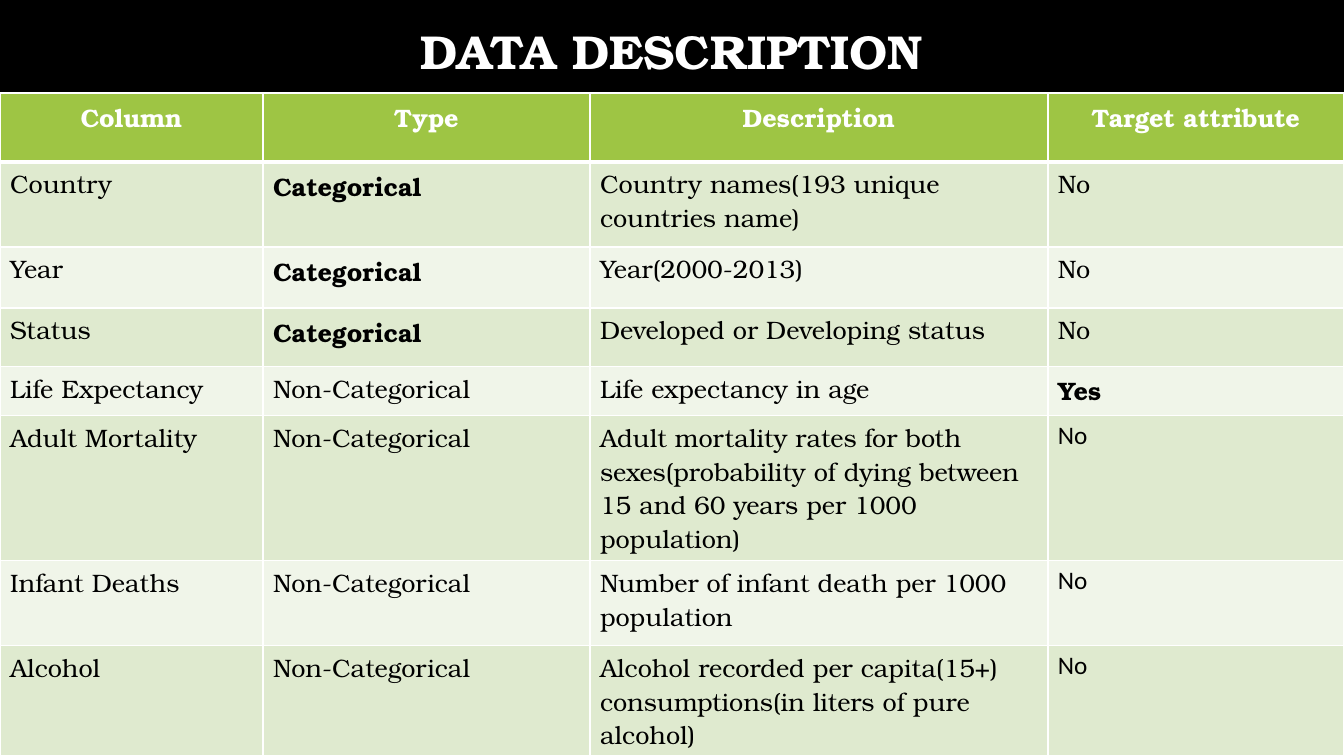
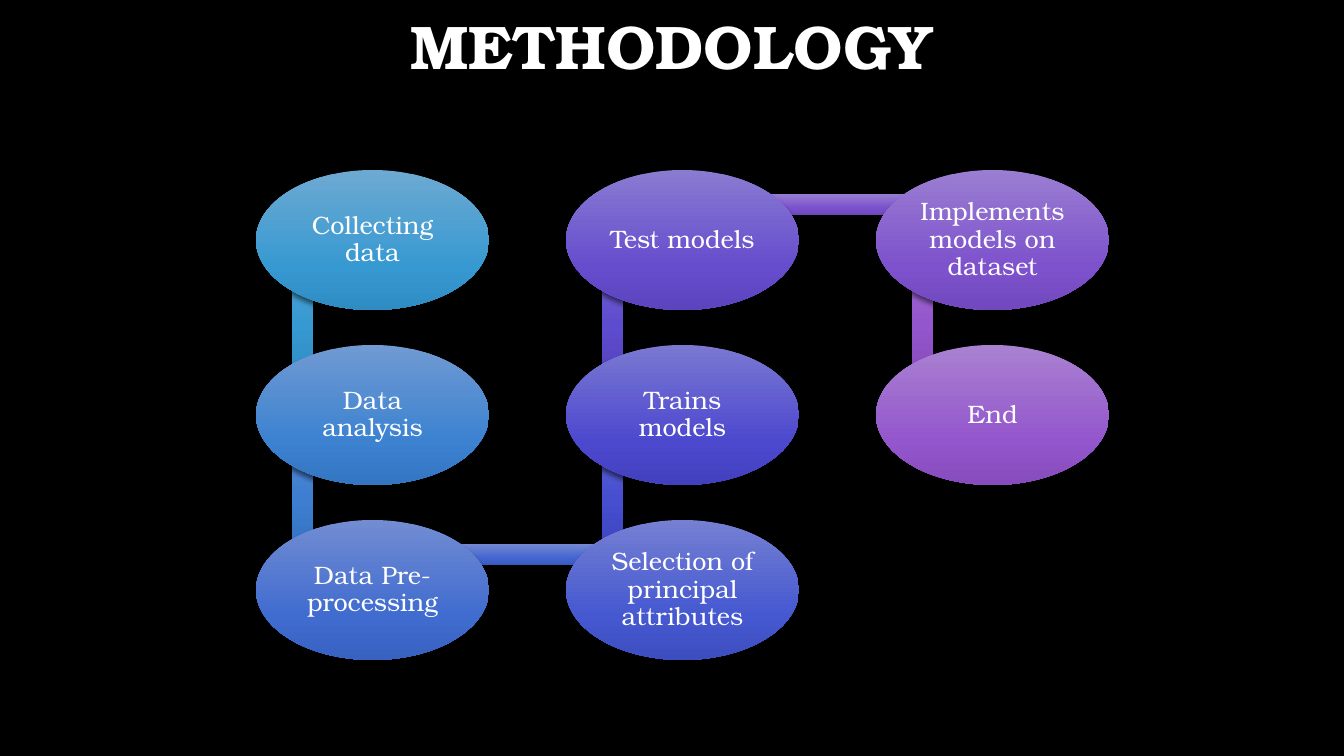
from pptx import Presentation
from pptx.dml.color import RGBColor
from pptx.enum.shapes import MSO_SHAPE as Kind
from pptx.enum.text import MSO_ANCHOR as Anchor, PP_ALIGN as Align
from pptx.oxml import parse_xml
from pptx.oxml.ns import nsdecls
from pptx.util import Pt

# Shared look
WIDE, HIGH = 1344, 756
SCALE = 12192000 / WIDE
SERIF, SANS = "TeX Gyre Bonum", "Calibri"
BLACK, WHITE = "000000", "FFFFFF"
GREEN, BANDS = "9EC544", ("DFEACF", "F0F5E9")

# Data description: table content
COLS = (263, 327, 458, 296)
ROWS = (69, 85, 61, 59, 49, 145, 85, 110)
TABLE_TOP = 93
HEAD = ("Column", "Type", "Description", "Target attribute")
DATA = [
    ("Country", "Categorical", "Country names(193 unique countries name)", "No"),
    ("Year", "Categorical", "Year(2000-2013)", "No"),
    ("Status", "Categorical", "Developed or Developing status", "No"),
    ("Life Expectancy", "Non-Categorical", "Life expectancy in age", "Yes"),
    ("Adult Mortality", "Non-Categorical",
     "Adult mortality rates for both sexes(probability of dying between "
     "15 and 60 years per 1000 population)", "No"),
    ("Infant Deaths", "Non-Categorical",
     "Number of infant death per 1000 population", "No"),
    ("Alcohol", "Non-Categorical",
     "Alcohol recorded per capita(15+) consumptions"
     "(in liters of pure alcohol)", "No"),
]
STRONG = ("Categorical", "Yes")
SANS_FROM = 5  # first row whose last cell is sans serif

# Methodology: text, column, row, colours of the oval
STEPS = [
    ("Collecting data", 0, 0, ("6DAAD2", "3799D2", "2F8CC2")),
    ("Data analysis", 0, 1, ("709AD2", "3C82D1", "3375C1")),
    ("Data Pre-processing", 0, 2, ("728CD2", "406CD0", "3861C0")),
    ("Selection of principal attributes", 1, 2, ("7580D2", "4558D0", "3C4EBF")),
    ("Trains models", 1, 1, ("7A78D1", "4D49CF", "4340BE")),
    ("Test models", 1, 0, ("8A7BD1", "664DCE", "5B44BE")),
    ("Implements models on dataset", 2, 0, ("9A7ED1", "7E52CD", "7148BD")),
    ("End", 2, 1, ("A981D1", "9456CD", "864BBC")),
]
# Colours of the bar from each step to the next
BARS = [
    ("6DAAD2", "3799D2", "2F8CC2"), ("7098D2", "3D7ED1", "3472C1"),
    ("7388D2", "4265D0", "395AC0"), ("777BD2", "474ECF", "3E45BF"),
    ("857AD1", "5E4CCE", "5342BE"), ("977DD1", "7A51CD", "6E47BD"),
    ("A981D1", "9456CD", "864BBC"),
]
LEFT, TOP, STEP_X, STEP_Y = 256, 170, 310, 175
OVAL_W, OVAL_H, THICK = 233, 140, 21


def px(num):
    return round(num * SCALE)


def box(*nums):
    return [px(num) for num in nums]


def rgb(code):
    return RGBColor.from_string(code)


def write(frame, text, size, color, bold=False, face=SERIF, align=Align.CENTER):
    frame.word_wrap = True
    para = frame.paragraphs[0]
    para.text = text
    para.alignment = align
    font = para.font
    font.name, font.size, font.bold = face, Pt(size), bold
    font.color.rgb = rgb(color)
    return para


def new_slide(deck, title, size, top, high):
    slide = deck.slides.add_slide(deck.slide_layouts[6])
    back = slide.background.fill
    back.solid()
    back.fore_color.rgb = rgb(BLACK)
    frame = slide.shapes.add_textbox(*box(126, top, 1092, high)).text_frame
    frame.vertical_anchor = Anchor.MIDDLE
    write(frame, title, size, WHITE, bold=True).line_spacing = 0.9
    return slide


def style_cell(cell, fill, row):
    props = cell._tc.get_or_add_tcPr()
    for side in "LRTB":
        wide = Pt(3 if (row, side) in ((0, "B"), (1, "T")) else 1)
        props.append(parse_xml(
            f'<a:ln{side} {nsdecls("a")} w="{wide}"><a:solidFill>'
            f'<a:srgbClr val="{WHITE}"/></a:solidFill></a:ln{side}>'))
    cell.fill.solid()
    cell.fill.fore_color.rgb = rgb(fill)


def add_data(slide):
    table = slide.shapes.add_table(
        len(ROWS), len(COLS), *box(0, TABLE_TOP, WIDE, sum(ROWS))).table
    for col, wide in zip(table.columns, COLS):
        col.width = px(wide)
    for row, high in zip(table.rows, ROWS):
        row.height = px(high)
    for r, texts in enumerate([HEAD] + DATA):
        for c, text in enumerate(texts):
            cell = table.cell(r, c)
            style_cell(cell, BANDS[(r - 1) % 2] if r else GREEN, r)
            if r == 0:
                write(cell.text_frame, text, 18, WHITE, bold=True)
                continue
            face = SANS if r >= SANS_FROM and c == 3 else SERIF
            write(cell.text_frame, text, 18, BLACK, text in STRONG, face,
                  Align.LEFT)


def add_shaded(slide, kind, spot, colors):
    shape = slide.shapes.add_shape(kind, *box(*spot))
    stops = "".join(
        f'<a:gs pos="{pos}000"><a:srgbClr val="{code}"/></a:gs>'
        for pos, code in zip((0, 69, 100), colors))
    props = shape._element.spPr
    props.append(parse_xml(
        f'<a:gradFill {nsdecls("a")} rotWithShape="1"><a:gsLst>{stops}'
        '</a:gsLst><a:lin ang="5400000" scaled="0"/></a:gradFill>'))
    shape.line.fill.background()
    shape.shadow.inherit = False
    props.effectLst.append(parse_xml(
        f'<a:outerShdw {nsdecls("a")} blurRad="{Pt(4)}" dist="{Pt(3)}" '
        f'dir="5400000" rotWithShape="0"><a:srgbClr val="{BLACK}">'
        '<a:alpha val="54000"/></a:srgbClr></a:outerShdw>'))
    return shape


def add_flow(slide):
    for i, (text, col, row, colors) in enumerate(STEPS):
        x, y = LEFT + col * STEP_X, TOP + row * STEP_Y
        # Bar to the next step, behind both ovals
        if i < len(BARS):
            _, to_col, to_row, _ = STEPS[i + 1]
            if to_col == col:
                upper = TOP + min(row, to_row) * STEP_Y
                spot = (x + 36, upper + 35, THICK, 173)
            else:
                spot = (x + 47, y + 24, 309, THICK)
            add_shaded(slide, Kind.RECTANGLE, spot, BARS[i])
        # Oval with its text
        oval = add_shaded(slide, Kind.FLOWCHART_CONNECTOR,
                          (x, y, OVAL_W, OVAL_H), colors)
        frame = oval.text_frame
        frame.vertical_anchor = Anchor.MIDDLE
        frame.margin_left = frame.margin_right = px(7)
        frame.margin_top = frame.margin_bottom = px(7)
        write(frame, text, 18, WHITE).line_spacing = 0.9


def main():
    deck = Presentation()
    deck.slide_width, deck.slide_height = box(WIDE, HIGH)
    add_data(new_slide(deck, "DATA DESCRIPTION", 34, 14, 81))
    add_flow(new_slide(deck, "METHODOLOGY", 44, -2, 103))
    deck.save("out.pptx")


if __name__ == "__main__":
    main()
